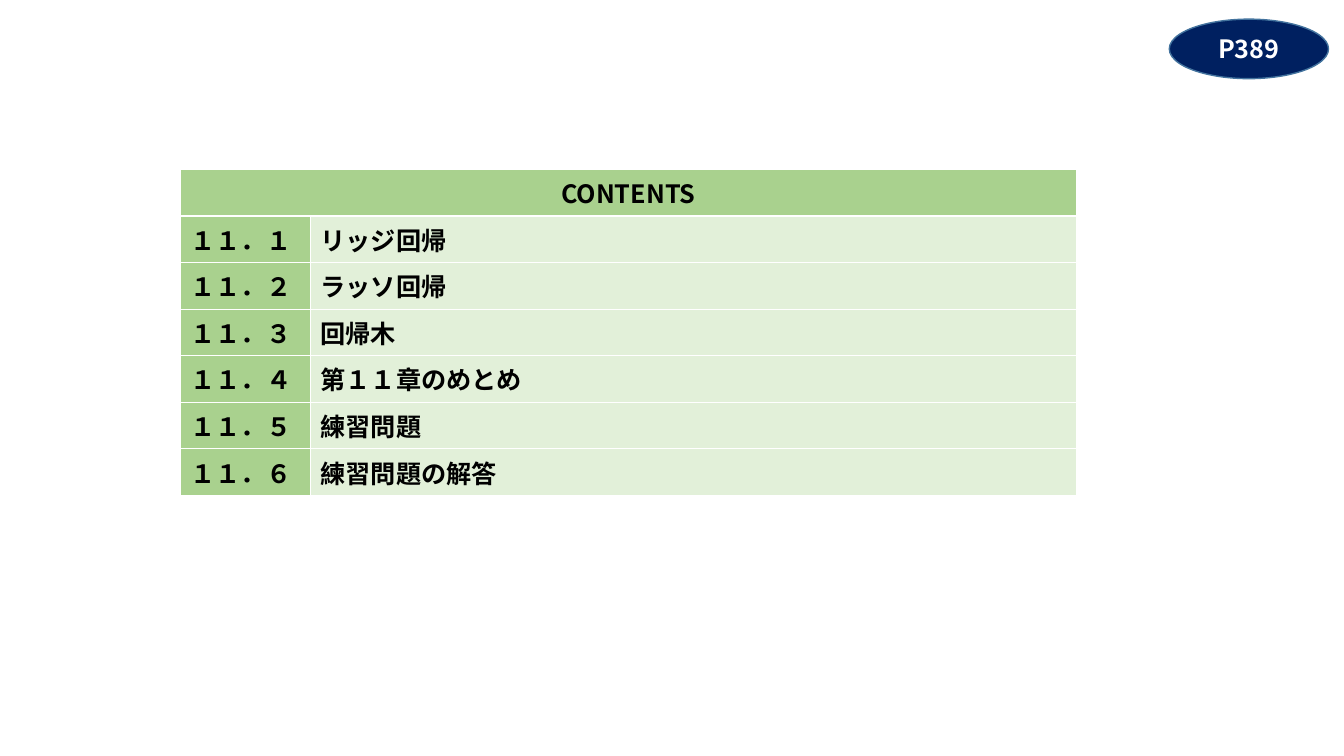
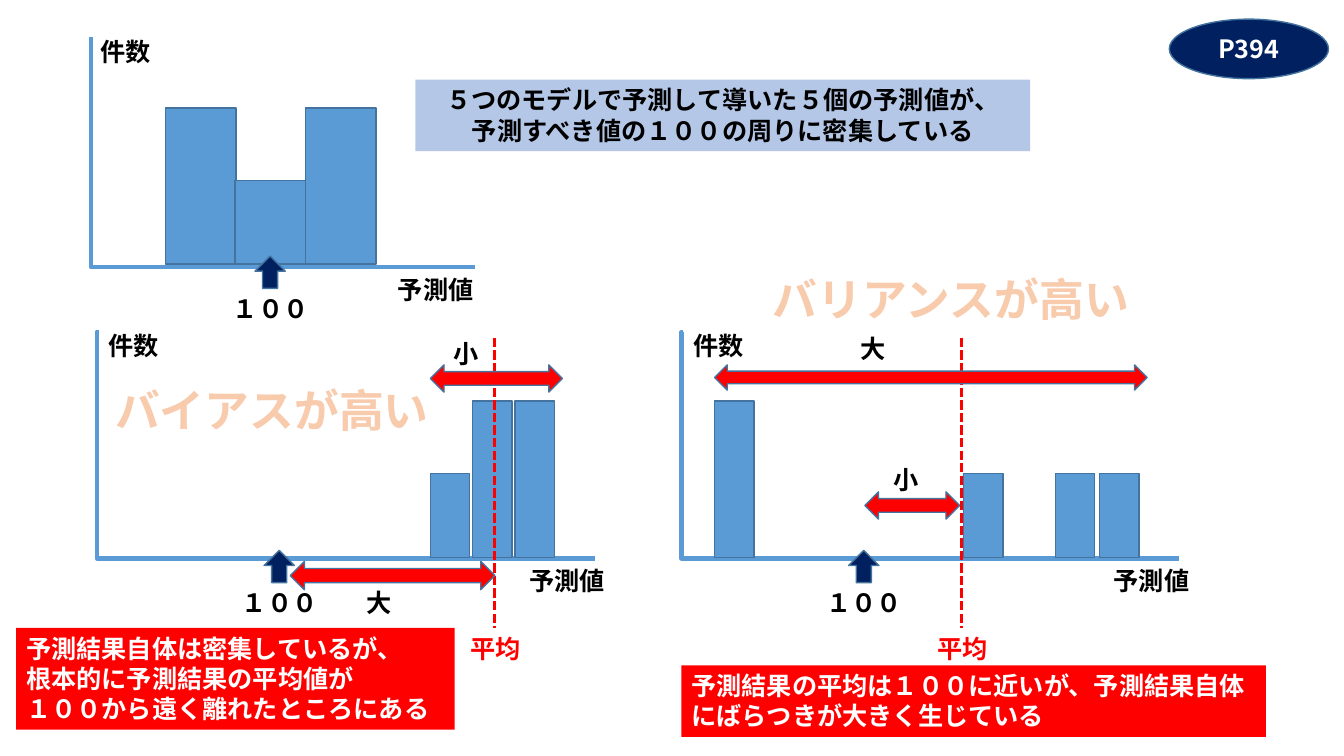
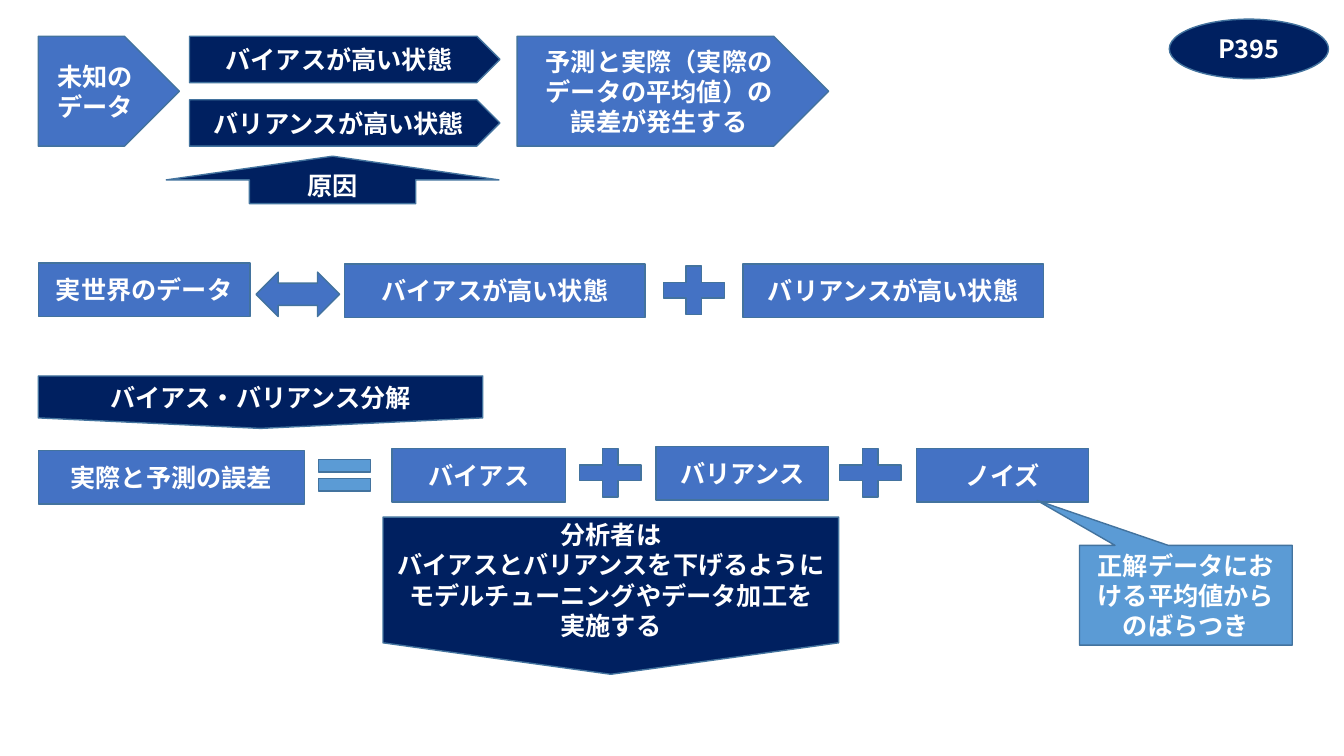
"""Build three slides on ridge and lasso regression, bias and variance."""
import dataclasses

import lxml.etree
import pptx
import pptx.dml.color
import pptx.enum.dml
import pptx.enum.shapes
import pptx.enum.text
import pptx.oxml.ns
import pptx.util

Inches = pptx.util.Inches
Pt = pptx.util.Pt
Kind = pptx.enum.shapes.MSO_SHAPE
Link = pptx.enum.shapes.MSO_CONNECTOR
Align = pptx.enum.text.PP_ALIGN
Fit = pptx.enum.text.MSO_AUTO_SIZE
qn = pptx.oxml.ns.qn


@dataclasses.dataclass(frozen=True)
class Theme:
    font: str = "Noto Sans CJK JP"
    body: int = 18
    headline: int = 32
    black: str = "000000"
    white: str = "FFFFFF"
    navy: str = "002060"
    blue: str = "4472C4"
    sky: str = "5B9BD5"
    pale_blue: str = "B4C7E7"
    edge: str = "43739E"
    red: str = "FF0000"
    peach: str = "F8CBAD"
    orange: str = "ED7D31"
    green: str = "A9D18E"
    pale_green: str = "E2F0D9"


THEME = Theme()
BAR_WIDTH = 0.39
BAR_HEIGHTS = {1: 0.83, 2: 1.55}
FULL_WIDTH = {ord(sign): ord(sign) + 0xFEE0 for sign in "0123456789.()"}


def rgb(color):
    return pptx.dml.color.RGBColor.from_string(color)


def inches(*lengths):
    return [Inches(length) for length in lengths]


def add_line_xml(parent, tag, index, color, width):
    line = lxml.etree.Element(qn(tag), w=str(Pt(width)))
    fill = lxml.etree.SubElement(line, qn("a:solidFill"))
    lxml.etree.SubElement(fill, qn("a:srgbClr"), val=color)
    parent.insert(index, line)


def write(frame, text, size=THEME.body, color=THEME.black, align=Align.LEFT,
          outline=None, full_width=True):
    if full_width:
        text = text.translate(FULL_WIDTH)
    for index, words in enumerate(text.split("\n")):
        para = frame.add_paragraph() if index else frame.paragraphs[0]
        para.alignment = align
        span = para.add_run()
        span.text = words
        span.font.name = THEME.font
        span.font.size = Pt(size)
        span.font.bold = True
        span.font.color.rgb = rgb(color)
        properties = span.font._element
        lxml.etree.SubElement(properties, qn("a:ea"), typeface=THEME.font)
        if outline:
            add_line_xml(properties, "a:ln", 0, outline, 1.75)


def add_label(page, at, text, fill=None, wrap=True, **text_format):
    box = page.shapes.add_textbox(*inches(*at))
    if fill:
        box.fill.solid()
        box.fill.fore_color.rgb = rgb(fill)
    box.text_frame.word_wrap = wrap
    box.text_frame.auto_size = Fit.SHAPE_TO_FIT_TEXT
    write(box.text_frame, text, **text_format)


def add_block(page, kind, at, fill=THEME.blue, text="", **text_format):
    block = page.shapes.add_shape(kind, *inches(*at))
    block.shadow.inherit = False
    block.fill.solid()
    block.fill.fore_color.rgb = rgb(fill)
    block.line.color.rgb = rgb(THEME.edge)
    block.line.width = Pt(1)
    if text:
        write(block.text_frame, text, color=THEME.white, align=Align.CENTER, **text_format)
    return block


def add_line(page, kind, ends, color, width):
    line = page.shapes.add_connector(kind, *inches(*ends))
    line.line.color.rgb = rgb(color)
    line.line.width = Pt(width)
    lxml.etree.SubElement(line._element.spPr, qn("a:effectLst"))
    return line


def add_page(deck, number):
    page = deck.slides.add_slide(deck.slide_layouts[6])
    add_block(page, Kind.OVAL, (11.6, 0.19, 1.58, 0.59), THEME.navy, f"P{number}",
              full_width=False)
    return page


def fill_cell(cell, text, fill, align=Align.LEFT):
    cell.fill.solid()
    cell.fill.fore_color.rgb = rgb(fill)
    write(cell.text_frame, text, align=align)


def add_contents(page, topics):
    rows = len(topics) + 1
    table = page.shapes.add_table(rows, 2, *inches(1.79, 1.68, 8.89, 2.84)).table
    table.first_row = table.horz_banding = False
    table.columns[0].width, table.columns[1].width = inches(1.29, 7.6)
    table.cell(0, 0).merge(table.cell(0, 1))
    fill_cell(table.cell(0, 0), "CONTENTS", THEME.green, Align.CENTER)
    for row, topic in enumerate(topics, 1):
        fill_cell(table.cell(row, 0), f"11.{row}", THEME.green)
        fill_cell(table.cell(row, 1), topic, THEME.pale_green)
    for cell in table.iter_cells():
        for index, side in enumerate("LRTB"):
            add_line_xml(cell._tc.get_or_add_tcPr(), f"a:ln{side}", index, THEME.white, 1)


def add_histogram(page, left, top, width, height, bars, bar_width=BAR_WIDTH,
                  base=5.53, value_left=4.17, target_left=1.64, target_top=5.46, bend=-400):
    ends = (left, top, left + width, top + height)
    axes = add_line(page, Link.ELBOW, ends, THEME.sky, 3)
    guides = axes._element.spPr.find(qn("a:prstGeom")).get_or_add_avLst()
    lxml.etree.SubElement(guides, qn("a:gd"), name="adj1", fmla=f"val {bend}")
    for bar_left, count in bars:
        tall = BAR_HEIGHTS[count]
        add_block(page, Kind.RECTANGLE, (bar_left, base - tall, bar_width, tall), THEME.sky)
    add_label(page, (left, top - 0.06, 0.8, 0.4), "件数")
    add_label(page, (left + value_left, top + height + 0.02, 1.11, 0.4), "予測値")
    target = left + target_left
    add_block(page, Kind.UP_ARROW, (target, target_top, 0.3, 0.32), THEME.navy)
    add_label(page, (target - 0.4, target_top + 0.32, 1.11, 0.4), "100", align=Align.CENTER)


def add_mean(page, center):
    line = add_line(page, Link.STRAIGHT, (center, 3.35, center, 6.23), THEME.red, 2.25)
    line.line.dash_style = pptx.enum.dml.MSO_LINE.SQUARE_DOT
    add_label(page, (center - 0.34, 6.23, 0.8, 0.4), "平均", color=THEME.red)


def add_range(page, at, text, text_left, text_top):
    add_block(page, Kind.LEFT_RIGHT_ARROW, at, THEME.red)
    add_label(page, (text_left, text_top, 0.8, 0.4), text)


def add_headline(page, at, text):
    add_label(page, at, text, wrap=False, size=THEME.headline, color=THEME.peach,
              align=Align.CENTER, outline=THEME.orange)


def build_contents(deck):
    page = add_page(deck, 389)
    add_contents(page, ["リッジ回帰", "ラッソ回帰", "回帰木", "第11章のめとめ",
                        "練習問題", "練習問題の解答"])


def build_histograms(deck):
    page = add_page(deck, 394)
    add_histogram(page, 0.9, 0.37, 3.81, 2.28, [(1.64, 2), (3.03, 2), (2.33, 1)],
                  bar_width=0.7, base=2.62, value_left=2.95, target_left=1.63,
                  target_top=2.54, bend=0)
    add_label(page, (4.12, 0.79, 6.1, 0.71),
              "5つのモデルで予測して導いた5個の予測値が、\n予測すべき値の100の周りに密集している",
              fill=THEME.pale_blue, align=Align.CENTER)

    add_histogram(page, 0.98, 3.29, 4.92, 2.25, [(4.69, 2), (5.11, 2), (4.27, 1)])
    add_mean(page, 4.91)
    add_range(page, (2.88, 5.57, 2.03, 0.28), "大", 3.54, 5.78)
    add_range(page, (4.27, 3.62, 1.31, 0.27), "小", 4.4, 3.31)
    add_headline(page, (1.03, 3.75, 3.34, 0.64), "バイアスが高い")
    add_label(page, (0.16, 6.23, 4.35, 1.01),
              "予測結果自体は密集しているが、\n根本的に予測結果の平均値が\n100から遠く離れたところにある",
              fill=THEME.red, color=THEME.white)

    add_histogram(page, 6.78, 3.29, 4.92, 2.25,
                  [(7.09, 2), (10.91, 1), (9.56, 1), (10.47, 1)])
    add_mean(page, 9.54)
    add_range(page, (8.58, 4.88, 0.94, 0.27), "小", 8.77, 4.56)
    add_range(page, (7.09, 3.62, 4.29, 0.25), "大", 8.44, 3.26)
    add_headline(page, (7.54, 2.65, 3.79, 0.64), "バリアンスが高い")
    add_label(page, (6.76, 6.6, 5.8, 0.71),
              "予測結果の平均は100に近いが、予測結果自体にばらつきが大きく生じている",
              fill=THEME.red, color=THEME.white)


def build_decomposition(deck):
    page = add_page(deck, 395)
    states = ["バイアスが高い状態", "バリアンスが高い状態"]
    for index, state in enumerate(states):
        add_block(page, Kind.PENTAGON, (1.88, 0.36 + 0.63 * index, 3.08, 0.46),
                  THEME.navy, state)
        add_block(page, Kind.RECTANGLE, (3.42 + 3.95 * index, 2.62, 2.98, 0.53), text=state)
    add_block(page, Kind.PENTAGON, (0.38, 0.36, 1.4, 1.09), text="未知のデータ")
    add_block(page, Kind.PENTAGON, (5.13, 0.36, 3.09, 1.09),
              text="予測と実際(実際のデータの平均値)の\n誤差が発生する")
    add_block(page, Kind.UP_ARROW, (1.65, 1.55, 3.3, 0.47), THEME.navy, "原因")

    add_block(page, Kind.RECTANGLE, (0.38, 2.61, 2.1, 0.53), text="実世界のデータ")
    add_block(page, Kind.LEFT_RIGHT_ARROW, (2.54, 2.7, 0.83, 0.44))
    for left, top in [(6.47, 2.55), (5.64, 4.36), (8.22, 4.36)]:
        add_block(page, Kind.MATH_PLUS, (left, top, 0.83, 0.66))

    add_block(page, Kind.FLOWCHART_OFFPAGE_CONNECTOR, (0.38, 3.73, 4.41, 0.52),
              THEME.navy, "バイアス・バリアンス分解")
    for left, top, width, term in [
        (0.38, 4.47, 2.64, "実際と予測の誤差"),
        (3.89, 4.45, 1.72, "バイアス"),
        (6.51, 4.43, 1.71, "バリアンス"),
        (9.09, 4.45, 1.71, "ノイズ"),
    ]:
        add_block(page, Kind.RECTANGLE, (left, top, width, 0.53), text=term)
    add_block(page, Kind.MATH_EQUAL, (3.07, 4.45, 0.7, 0.53), THEME.sky)
    add_block(page, Kind.FLOWCHART_OFFPAGE_CONNECTOR, (3.8, 5.13, 4.52, 1.56), THEME.navy,
              "分析者は\nバイアスとバリアンスを下げるように\nモデルチューニングやデータ加工を\n実施する")
    callout = add_block(page, Kind.RECTANGULAR_CALLOUT, (10.71, 5.41, 2.11, 0.99),
                        THEME.sky, "正解データにおける平均値からのばらつき")
    callout.adjustments[0] = -0.7
    callout.adjustments[1] = -0.95


def main():
    deck = pptx.Presentation()
    deck.slide_width, deck.slide_height = inches(40 / 3, 7.5)
    build_contents(deck)
    build_histograms(deck)
    build_decomposition(deck)
    deck.save("out.pptx")


main()
